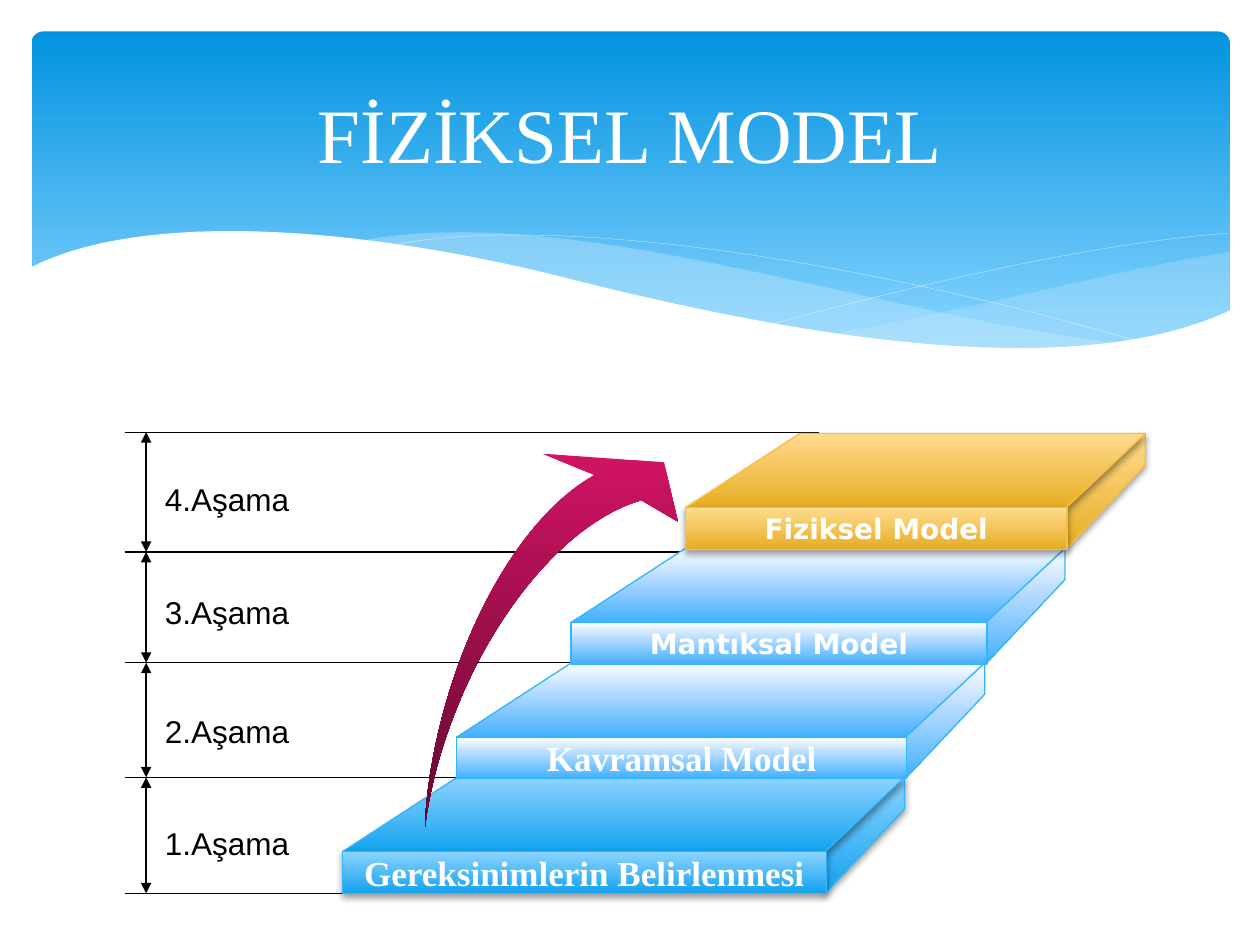
import math
from dataclasses import dataclass

import lxml.etree
import pptx
import pptx.dml.color
import pptx.enum.shapes
import pptx.enum.text
import pptx.oxml.ns
import pptx.util

Inches = pptx.util.Inches
Pt = pptx.util.Pt
RGB = pptx.dml.color.RGBColor.from_string
qn = pptx.oxml.ns.qn
SHAPE = pptx.enum.shapes.MSO_SHAPE
ALIGN = pptx.enum.text.PP_ALIGN
ANCHOR = pptx.enum.text.MSO_ANCHOR


@dataclass
class Theme:
    white: str = "FFFFFF"
    black: str = "000000"
    mist: str = "C6E7FC"
    sky_line: str = "31B6FD"
    gold_line: str = "F5C040"
    # Gradients: percent and colour, from top to bottom
    band: tuple = ((0, "0293E0"), (90, "83D3FE"))
    gold: tuple = ((0, "FFDB8E"), (100, "E6AD22"))
    pale: tuple = ((0, "FFFFFF"), (44, "ACD7FF"), (100, "42B0FD"))
    blue: tuple = ((0, "8CD3FF"), (100, "14A2EF"))
    arrow: tuple = ((0, "D11364"), (100, "61092E"))
    serif: str = "Times New Roman"
    sans: str = "Arial"
    wide: str = "DejaVu Sans"
    title_size: int = 44
    step_size: int = 20
    label_size: int = 18
    small_size: int = 16
    rule: float = 0.75
    hairline: float = 0.1


theme = Theme()


def write_text(shape, text, font, size, color, bold=False, align=ALIGN.LEFT,
               anchor=ANCHOR.TOP, wrap=False):
    frame = shape.text_frame
    frame.word_wrap = wrap
    frame.vertical_anchor = anchor
    para = frame.paragraphs[0]
    para.alignment = align
    span = para.add_run()
    span.text = text
    span.font.name, span.font.size, span.font.bold = font, Pt(size), bold
    span.font.color.rgb = RGB(color)


def paint(shape, fill=None, alpha=None, line=None, width=theme.rule, shadow=False):
    """Fill is a colour, a tuple of gradient stops, or None."""
    properties = shape.element.spPr
    shape.shadow.inherit = False
    if fill is None:
        shape.fill.background()
    elif isinstance(fill, str):
        shape.fill.solid()
        shape.fill.fore_color.rgb = RGB(fill)
        if alpha:
            color = properties.find(qn("a:solidFill")).find(qn("a:srgbClr"))
            lxml.etree.SubElement(color, qn("a:alpha"), val=str(alpha * 1000))
    else:
        shape.fill.gradient()
        shape.fill.gradient_angle = 270
        stops = properties.find(qn("a:gradFill")).find(qn("a:gsLst"))
        for stop in list(stops):
            stops.remove(stop)
        for percent, value in fill:
            stop = lxml.etree.SubElement(stops, qn("a:gs"), pos=str(percent * 1000))
            lxml.etree.SubElement(stop, qn("a:srgbClr"), val=value)
    if line:
        shape.line.color.rgb = RGB(line)
        shape.line.width = Pt(width)
    else:
        shape.line.fill.background()
    if shadow:
        outer = lxml.etree.SubElement(
            properties.find(qn("a:effectLst")), qn("a:outerShdw"), blurRad=str(Pt(4)),
            dist=str(Pt(2)), dir="5400000", algn="ctr", rotWithShape="0")
        color = lxml.etree.SubElement(outer, qn("a:srgbClr"), val=theme.black)
        lxml.etree.SubElement(color, qn("a:alpha"), val="38000")


deck = pptx.Presentation()
deck.slide_width, deck.slide_height = Inches(10), Inches(7.5)
page = deck.slides.add_slide(deck.slide_layouts[5])
shapes = page.shapes

# Header band
band = shapes.add_shape(SHAPE.ROUNDED_RECTANGLE, Inches(0.25), Inches(0.25),
                        Inches(9.51), Inches(2.7))
band.adjustments[0] = 0.034
paint(band, theme.band)

# Stage rules, and a double arrow between each pair of them
levels = [3.43, 4.38, 5.26, 6.17, 7.09]
rule_left, arrow_x = 0.99, 1.16
rule_ends = [6.5, 5.54, 4.66, 3.66, 2.81]
rules = [(rule_left, y, end, y, ()) for y, end in zip(levels, rule_ends)]
rules += [(arrow_x, upper, arrow_x, lower, ("a:headEnd", "a:tailEnd"))
          for upper, lower in zip(levels, levels[1:])]
for x1, y1, x2, y2, tips in rules:
    rule = shapes.add_connector(pptx.enum.shapes.MSO_CONNECTOR.STRAIGHT,
                                Inches(x1), Inches(y1), Inches(x2), Inches(y2))
    rule.line.color.rgb = RGB(theme.black)
    rule.line.width = Pt(theme.rule)
    properties = rule.element.spPr
    for tip in tips:
        lxml.etree.SubElement(properties.find(qn("a:ln")), qn(tip), type="triangle")
    lxml.etree.SubElement(properties, qn("a:effectLst"))

# An outline is a chain of Bezier curves, each given by its control points;
# a curve of a single point is a plain corner.
right_wave = [[(9.76, 2), (8.9, 2.13), (7.9, 2.42), (6.61, 2.65)],
              [(6.61, 2.65), (7.9, 2.84), (8.9, 2.84), (9.76, 2.47)]]
middle_wave = [[(8.93, 2.73), (6.93, 2.5), (4.56, 1.59), (2.86, 1.91)],
               [(2.86, 1.91), (4.8, 2.2), (6.6, 2.95), (8.93, 2.73)]]
falling_line = [[(3.09, 1.95), (4.4, 1.68), (6.9, 2.08), (9.07, 2.72)]]
rising_line = [[(6.13, 2.57), (7.3, 2.26), (8.6, 1.94), (9.75, 1.85)]]
white_wave = [[(0.23, 2.13), (1.13, 1.66), (2.87, 1.8), (4.47, 2.2)],
              [(4.47, 2.2), (6.47, 2.71), (8.57, 3.03), (9.77, 2.46)],
              [(9.77, 3.29)], [(0.23, 3.29)]]
growth_arrow = [[(3.37, 6.58), (3.42, 5.45), (4, 4.17), (4.72, 3.77)],
                [(4.3, 3.6)], [(5.27, 3.67)], [(5.38, 4.14)],
                [(5.09, 3.97), (4.3, 4.2), (3.52, 5.4), (3.37, 6.58)]]

thin_white = dict(line=theme.white, width=theme.hairline)
outlines = [(right_wave, True, dict(fill=theme.mist, alpha=29)),
            (middle_wave, True, dict(fill=theme.mist, alpha=40)),
            (falling_line, False, thin_white),
            (rising_line, False, thin_white),
            (white_wave, True, dict(fill=theme.white))]

# Steps from top to bottom: each is lower, wider and further left than the last
small_wide = (theme.wide, theme.small_size)
large_serif = (theme.serif, theme.step_size)
steps = [("Fiziksel Model", small_wide, theme.gold, theme.gold_line, True),
         ("Mantıksal Model", small_wide, theme.pale, theme.sky_line, False),
         ("Kavramsal Model", large_serif, theme.pale, theme.sky_line, False),
         ("Gereksinimlerin Belirlenmesi", large_serif, theme.blue, theme.sky_line, True)]
front_height, side_height = 0.33, 0.25
lid_depth, left_slant, right_slant = 0.59, 0.91, 0.63
fronts = []
for row, (name, lettering, gradient, edge, shadow) in enumerate(steps):
    left, top, width = 5.44 - 0.907 * row, 4.03 + 0.91 * row, 3.03 + 0.27 * row
    right, back = left + width - 0.01, top - lid_depth
    back_right = (right + right_slant, back)
    side = [(right + right_slant, back + side_height), (right, top + front_height),
            (right, top), back_right]
    lid = [(right, top), (left, top), (left + left_slant, back), back_right]
    style = dict(fill=gradient, line=edge, shadow=shadow)
    outlines += [([[corner] for corner in face], True, style) for face in (side, lid)]
    fronts.append((left, top, width, name, lettering, style))
outlines.append((growth_arrow, True, dict(fill=theme.arrow)))

# Waves, step faces and growth arrow
samples = 32
for curves, closed, style in outlines:
    points = []
    for controls in curves:
        degree = len(controls) - 1
        for t in [i / samples for i in range(samples + 1)] if degree else [0]:
            weights = [math.comb(degree, k) * t ** k * (1 - t) ** (degree - k)
                       for k in range(degree + 1)]
            points.append([Inches(sum(w * c[axis] for w, c in zip(weights, controls)))
                           for axis in (0, 1)])
    builder = shapes.build_freeform(*points[0])
    builder.add_line_segments(points[1:], close=closed)
    paint(builder.convert_to_shape(), **style)

# Step fronts with their names
for left, top, width, name, (font, size), style in fronts:
    front = shapes.add_shape(SHAPE.RECTANGLE, Inches(left), Inches(top),
                             Inches(width), Inches(front_height))
    paint(front, **style)
    write_text(front, name, font, size, theme.white, bold=True,
               align=ALIGN.CENTER, anchor=ANCHOR.MIDDLE)

# Stage labels
for number, top in zip((4, 3, 2, 1), (3.76, 4.66, 5.6, 6.49)):
    label = shapes.add_textbox(Inches(1.21), Inches(top), Inches(1.26), Inches(0.4))
    write_text(label, f"{number}.Aşama", theme.sans, theme.label_size, theme.black)

# Title, brought in front of the band
title = shapes.title
title.left, title.top, title.width, title.height = map(Inches, (0.5, 0.37, 9, 1.37))
write_text(title, "FİZİKSEL MODEL", theme.serif, theme.title_size, theme.white,
           align=ALIGN.CENTER, anchor=ANCHOR.MIDDLE, wrap=True)
title.element.getparent().append(title.element)

deck.save("out.pptx")
